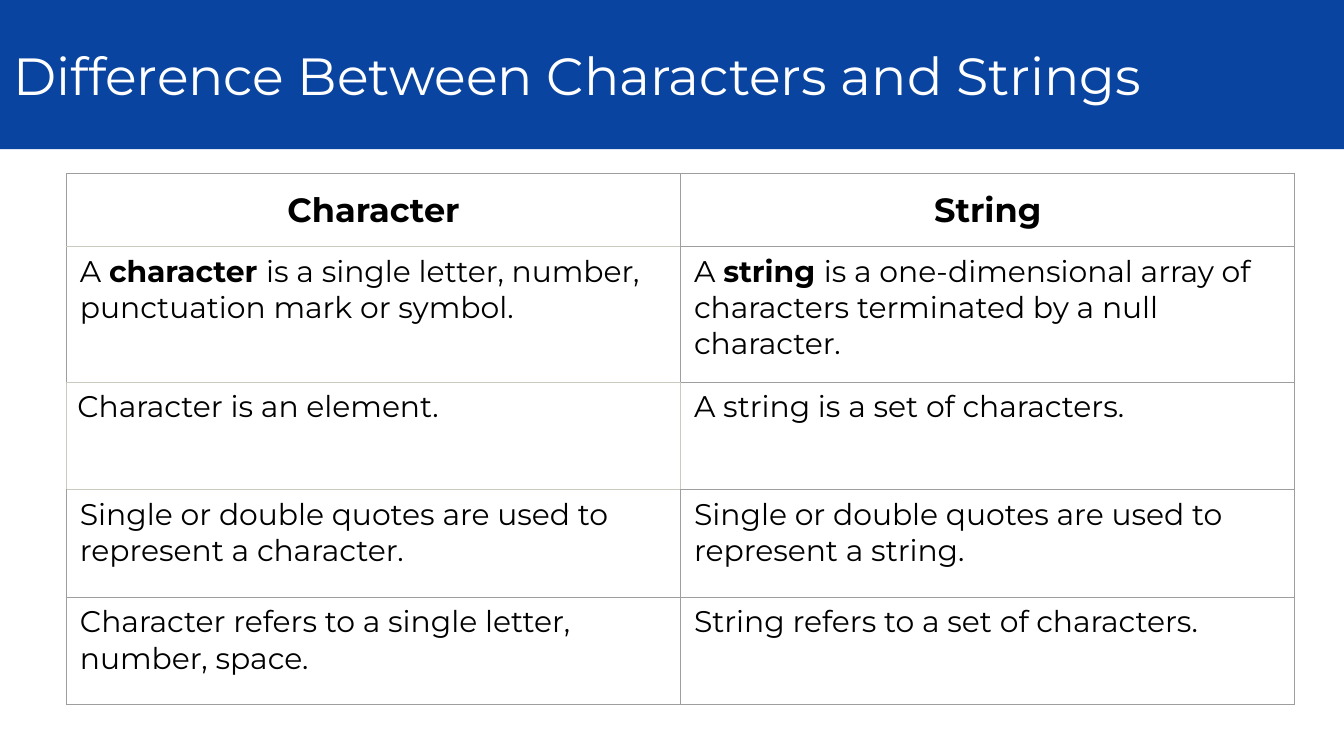
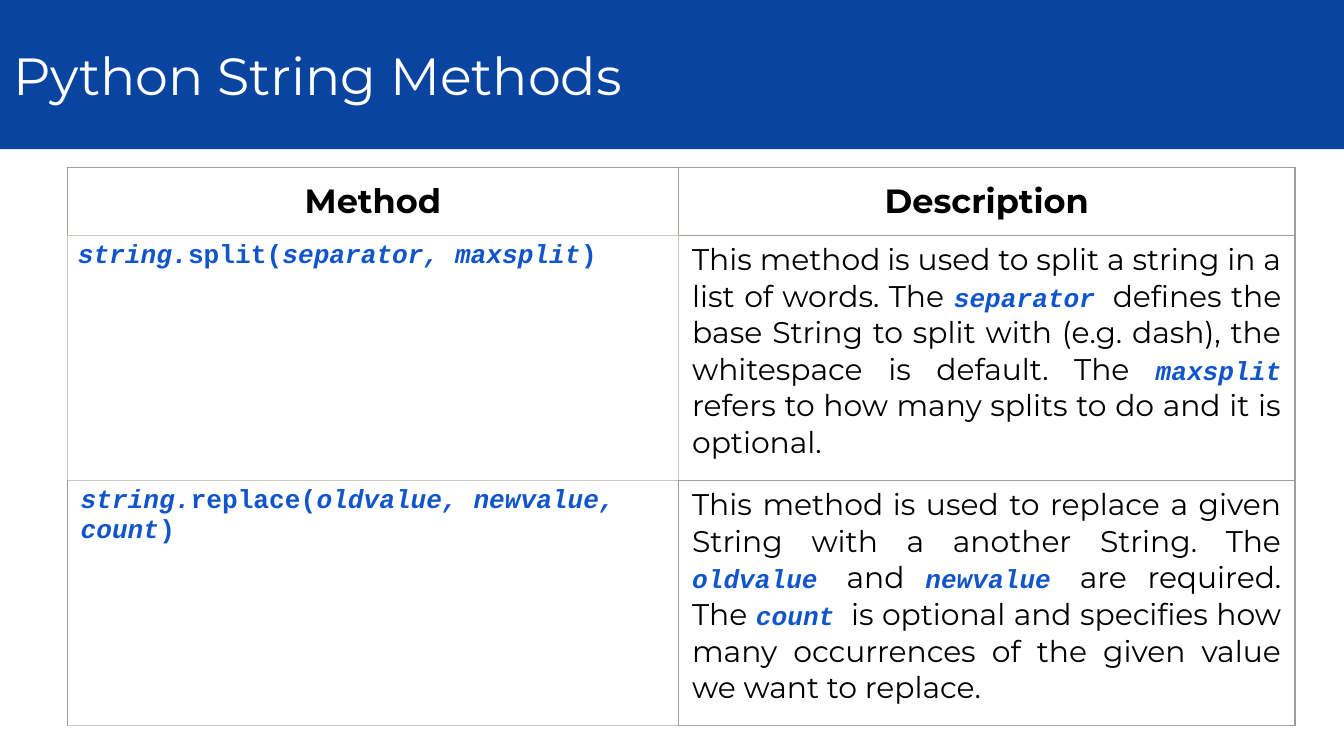
from dataclasses import dataclass
from functools import partial

from lxml.etree import SubElement
from pptx import Presentation
from pptx.dml.color import RGBColor
from pptx.enum.shapes import MSO_SHAPE
from pptx.enum.text import MSO_ANCHOR, PP_ALIGN
from pptx.oxml.ns import qn
from pptx.slide import Slide
from pptx.util import Emu, Pt

EMU_PER_PX = 4572  # 200 px to the inch
SLIDE_WIDTH, SLIDE_HEIGHT = 2000, 1125
BAND_HEIGHT = 222
BODY_FONT, CODE_FONT = "Montserrat", "Courier New"
COLORS = {
    "band": "0944A1",
    "title": "FFFFFF",
    "text": "000000",
    "muted": "273239",
    "code": "1155CC",
    "grid": "9E9E9E",
    "light_grid": "C7CCBE",
}


@dataclass(frozen=True)
class Run:
    text: str
    size: int = 16
    font: str = BODY_FONT
    color: str = "text"
    bold: bool = False
    italic: bool = False


@dataclass(frozen=True)
class Cell:
    """A table cell; `light` names its paler edges among L, R, T and B."""
    runs: list[Run]
    align: PP_ALIGN = PP_ALIGN.LEFT
    anchor: MSO_ANCHOR = MSO_ANCHOR.TOP
    light: str = ""
    side_margin: int = 20


@dataclass(frozen=True)
class TableSlide:
    title: str
    left: int
    top: int
    columns: list[int]
    heights: list[int]
    rows: list[list[Cell]]


strong = partial(Run, bold=True)
code = partial(Run, size=14, font=CODE_FONT, color="code", bold=True)
argument = partial(code, italic=True)
element_cell = partial(Cell, light="LRTB", side_margin=16)


def header(text: str, light: str = "") -> Cell:
    return Cell([strong(text, size=18)], PP_ALIGN.CENTER, MSO_ANCHOR.MIDDLE, light)


def description(*runs: Run, light: str = "") -> Cell:
    opening = [Run("This method"), Run(" ", size=13, color="muted")]
    return Cell([*opening, *runs], PP_ALIGN.JUSTIFY, light=light)


SLIDES = [
    TableSlide(
        "Difference Between Characters and Strings",
        left=99, top=258, columns=[914, 914], heights=[109, 202, 160, 160, 160],
        rows=[
            [header("Character", light="B"), header("String")],
            [
                Cell([Run("A "), strong("character "),
                      Run("is a single letter, number, punctuation mark or symbol.")],
                     light="TB"),
                Cell([Run("A "), strong("string "),
                      Run("is a one-dimensional array of characters terminated by a null character.")]),
            ],
            [
                element_cell([Run("Character is an element.")]),
                Cell([Run("A string is a set of characters.")], light="L"),
            ],
            [
                Cell([Run("Single or double quotes are used to represent a character.")], light="T"),
                Cell([Run("Single or double quotes are used to represent a string.")]),
            ],
            [
                Cell([Run("Character refers to a single letter, number, space.")]),
                Cell([Run("String refers to a set of characters.")]),
            ],
        ],
    ),
    TableSlide(
        "Python String Methods",
        left=100, top=249, columns=[910, 917], heights=[101, 365, 365],
        rows=[
            [header("Method", light="B"), header("Description")],
            [
                element_cell([argument("string."), code("split("),
                              argument("separator, maxsplit"), code(")")]),
                description(
                    Run("is used to split a string in a list of words. The "),
                    argument("separator "),
                    Run("defines the base String to split with (e.g. dash), the whitespace is default. The "),
                    argument("maxsplit"),
                    Run(" refers to how many splits to do and it is optional."),
                    light="L",
                ),
            ],
            [
                Cell([argument("string."), code("replace("),
                      argument("oldvalue, newvalue, count"), code(")")], light="TB"),
                description(
                    Run("is used to replace a given String with a another String. The "),
                    argument("oldvalue "),
                    Run("and "),
                    argument("newvalue "),
                    Run("are required. The "),
                    argument("count "),
                    Run("is optional and specifies how many occurrences of the given value we want to replace."),
                ),
            ],
        ],
    ),
]


def px(length: int) -> Emu:
    return Emu(length * EMU_PER_PX)


def rgb(name: str) -> RGBColor:
    return RGBColor.from_string(COLORS[name])


def add_text(paragraph, text: str, *, size: int, font: str, color: str,
             bold: bool = False, italic: bool = False) -> None:
    run = paragraph.add_run()
    run.text = text
    run.font.size = Pt(size)
    run.font.name = font
    run.font.color.rgb = rgb(color)
    run.font.bold = bold
    run.font.italic = italic


def add_title_band(slide: Slide, title: str) -> None:
    band = slide.shapes.add_shape(MSO_SHAPE.RECTANGLE, 0, 0, px(SLIDE_WIDTH), px(BAND_HEIGHT))
    band.shadow.inherit = False
    band.fill.solid()
    band.fill.fore_color.rgb = rgb("band")
    band.line.fill.background()
    frame = band.text_frame
    frame.word_wrap = True
    frame.vertical_anchor = MSO_ANCHOR.MIDDLE
    frame.margin_left = frame.margin_right = px(20)
    frame.margin_top = frame.margin_bottom = px(20)
    paragraph = frame.paragraphs[0]
    paragraph.alignment = PP_ALIGN.LEFT
    add_text(paragraph, title, size=28, font=BODY_FONT, color="title")


def set_borders(table_cell, light: str) -> None:
    properties = table_cell._tc.get_or_add_tcPr()
    for side in "LRTB":
        line = SubElement(properties, qn(f"a:ln{side}"), w=str(Pt(0.75)))
        fill = SubElement(line, qn("a:solidFill"))
        color = COLORS["light_grid" if side in light else "grid"]
        SubElement(fill, qn("a:srgbClr"), val=color)


def fill_cell(table_cell, cell: Cell) -> None:
    set_borders(table_cell, cell.light)
    table_cell.fill.background()
    table_cell.vertical_anchor = cell.anchor
    table_cell.margin_left = table_cell.margin_right = px(cell.side_margin)
    table_cell.margin_top = table_cell.margin_bottom = px(10)
    paragraph = table_cell.text_frame.paragraphs[0]
    paragraph.alignment = cell.align
    for run in cell.runs:
        add_text(paragraph, run.text, size=run.size, font=run.font, color=run.color,
                 bold=run.bold, italic=run.italic)


def add_grid(slide: Slide, content: TableSlide) -> None:
    table = slide.shapes.add_table(
        len(content.heights), len(content.columns), px(content.left), px(content.top),
        px(sum(content.columns)), px(sum(content.heights))).table
    table.first_row = table.horz_banding = False
    for column, width in zip(table.columns, content.columns):
        column.width = px(width)
    for row, height, cells in zip(table.rows, content.heights, content.rows):
        row.height = px(height)
        for table_cell, cell in zip(row.cells, cells):
            fill_cell(table_cell, cell)


def main() -> None:
    presentation = Presentation()
    presentation.slide_width = px(SLIDE_WIDTH)
    presentation.slide_height = px(SLIDE_HEIGHT)
    blank_layout = presentation.slide_layouts[6]
    for content in SLIDES:
        slide = presentation.slides.add_slide(blank_layout)
        add_title_band(slide, content.title)
        add_grid(slide, content)
    presentation.save("out.pptx")


if __name__ == "__main__":
    main()
